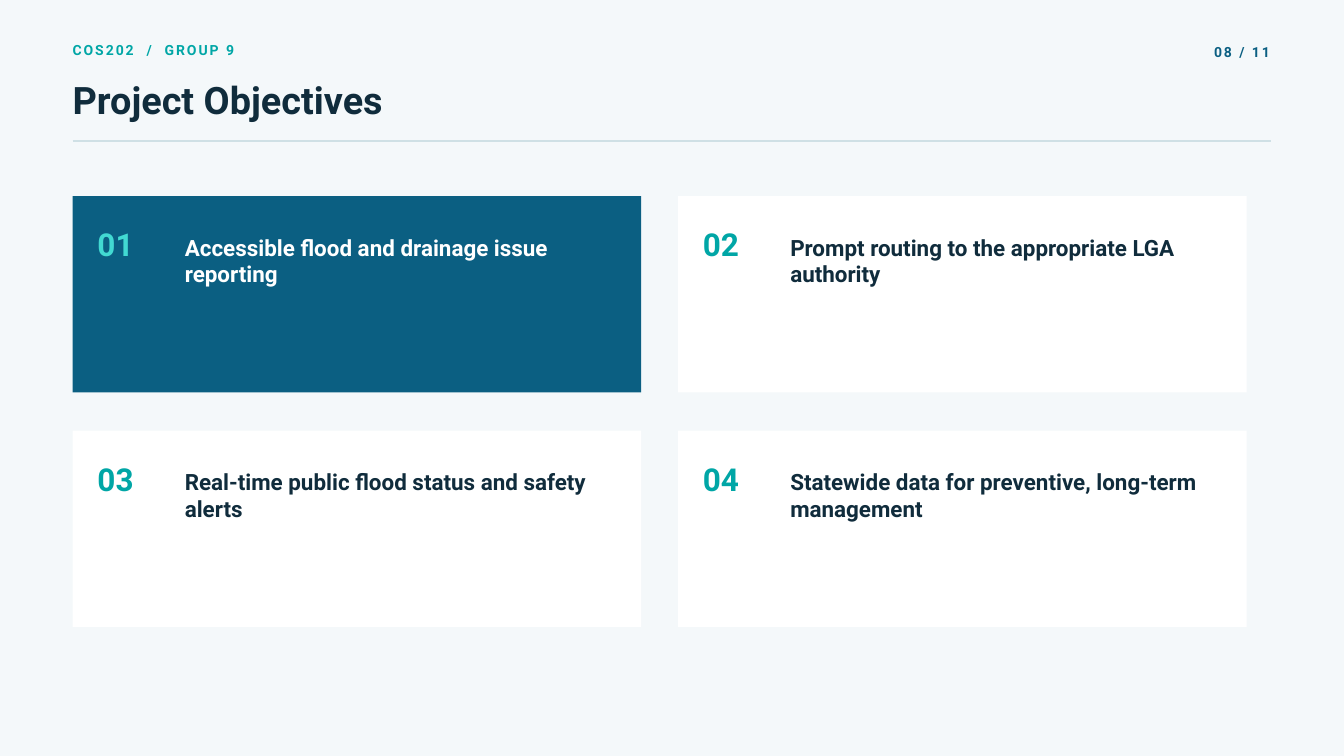
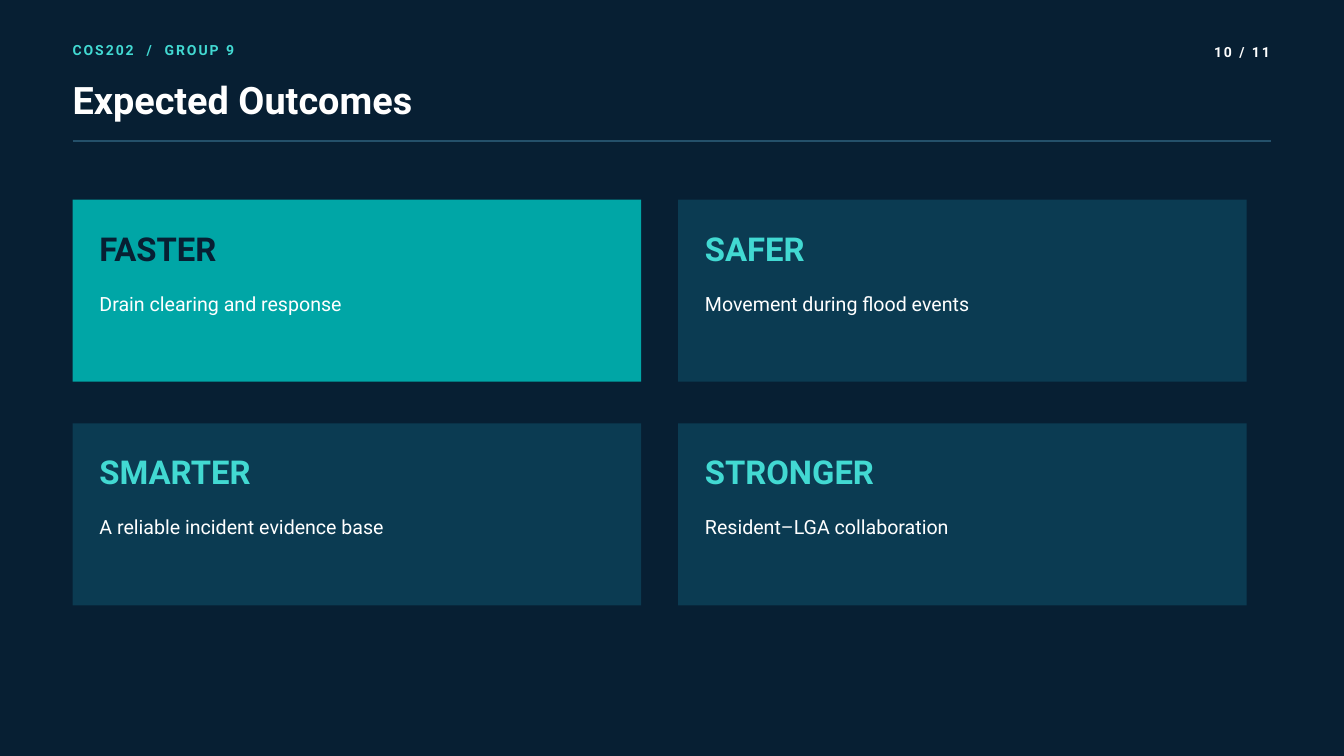
from pptx import Presentation
from pptx.dml.color import RGBColor
from pptx.enum.shapes import MSO_CONNECTOR, MSO_SHAPE
from pptx.enum.text import MSO_ANCHOR, MSO_AUTO_SIZE, PP_ALIGN
from pptx.oxml.ns import qn
from pptx.util import Inches, Pt
from lxml.etree import SubElement

FONT = "Roboto"
WHITE = RGBColor(0xFF, 0xFF, 0xFF)
MIST = RGBColor(0xF4, 0xF8, 0xFA)
INK = RGBColor(0x10, 0x2C, 0x3C)
NAVY = RGBColor(0x07, 0x1F, 0x33)
DEEP = RGBColor(0x0B, 0x3B, 0x52)
BLUE = RGBColor(0x0B, 0x5F, 0x82)
TEAL = RGBColor(0x00, 0xA6, 0xA6)
AQUA = RGBColor(0x42, 0xD9, 0xD2)
PALE_RULE = RGBColor(0xCF, 0xE0, 0xE5)
DARK_RULE = RGBColor(0x24, 0x50, 0x6A)

LIGHT = dict(bg=MIST, label=TEAL, title=INK, page=BLUE, rule=PALE_RULE)
DARK = dict(bg=NAVY, label=AQUA, title=WHITE, page=WHITE, rule=DARK_RULE)

LABEL = dict(size=15, leading=21, bold=True, tracking=210)
TITLE = dict(size=40.5, leading=43.7, bold=True)
NUMBER = dict(size=33.8, leading=47.2, bold=True)
OBJECTIVE = dict(size=24, leading=28.3, bold=True)
OUTCOME = dict(size=35.2, leading=49.3, bold=True)
DETAIL = dict(size=21, leading=29.4, bold=False)

LEFT, RIGHT = 1.08, 18.92
CARD_W, COLUMN_STEP = 8.46, 9.01

OBJECTIVES = [
    "Accessible flood and drainage issue reporting",
    "Prompt routing to the appropriate LGA authority",
    "Real-time public flood status and safety alerts",
    "Statewide data for preventive, long-term management",
]
OUTCOMES = [
    ("FASTER", "Drain clearing and response"),
    ("SAFER", "Movement during flood events"),
    ("SMARTER", "A reliable incident evidence base"),
    ("STRONGER", "Resident–LGA collaboration"),
]


class Deck:
    def __init__(self):
        self.prs = Presentation()
        self.prs.slide_width, self.prs.slide_height = Inches(20), Inches(11.25)

    def add_slide(self, theme, title, page):
        self.s = self.prs.slides.add_slide(self.prs.slide_layouts[5])
        fill = self.s.background.fill
        fill.solid()
        fill.fore_color.rgb = theme["bg"]
        self.text("COS202  /  GROUP 9", LEFT, 0.57, 4.27, 0.28, LABEL, theme["label"])
        self.title(title, theme["title"])
        self.text(page, 17.81, 0.61, 1.09, 0.28, LABEL, theme["page"], PP_ALIGN.RIGHT)
        self.rule(2.1, theme["rule"])

    def title(self, text, color):
        sp = self.s.shapes.title
        sp.left, sp.top, sp.width, sp.height = map(Inches, (LEFT, 1.21, 15.1, 0.63))
        self.fill_text(sp.text_frame, text, TITLE, color)

    def text(self, text, x, y, w, h, style, color, align=PP_ALIGN.LEFT):
        sp = self.s.shapes.add_textbox(*map(Inches, (x, y, w, h)))
        self.fill_text(sp.text_frame, text, style, color, align)

    def fill_text(self, tf, text, style, color, align=PP_ALIGN.LEFT):
        frame = dict(margin_left=0, margin_top=0, margin_right=0, margin_bottom=0,
                     word_wrap=True, vertical_anchor=MSO_ANCHOR.TOP,
                     auto_size=MSO_AUTO_SIZE.SHAPE_TO_FIT_TEXT)
        for name, value in frame.items():
            setattr(tf, name, value)
        p = tf.paragraphs[0]
        p.alignment = align
        p.line_spacing = Pt(style["leading"])
        r = p.add_run()
        r.text = text
        for name, value in dict(name=FONT, size=Pt(style["size"]), bold=style["bold"]).items():
            setattr(r.font, name, value)
        r.font.color.rgb = color
        if "tracking" in style:
            r._r.get_or_add_rPr().set("spc", str(style["tracking"]))

    def rule(self, y, color):
        line = self.s.shapes.add_connector(
            MSO_CONNECTOR.STRAIGHT, *map(Inches, (LEFT, y, RIGHT, y)))
        line.line.color.rgb = color
        line.line.width = Pt(2)
        SubElement(line._element.spPr, qn("a:effectLst"))

    def card(self, x, y, h, color):
        sp = self.s.shapes.add_shape(
            MSO_SHAPE.RECTANGLE, *map(Inches, (x, y, CARD_W, h)))
        sp.shadow.inherit = False
        sp.fill.solid()
        sp.fill.fore_color.rgb = color
        sp.line.fill.background()

    def objective(self, i, text):
        x, y = grid(i, 2.92, 3.49)
        fill, number, ink = (WHITE, TEAL, INK) if i else (BLUE, AQUA, WHITE)
        self.card(x, y, 2.92, fill)
        self.text(f"{i + 1:02}", x + 0.37, y + 0.34, 1.15, 0.61, NUMBER, number)
        self.text(text, x + 1.67, y + 0.57, 6.25, 0.78, OBJECTIVE, ink)

    def outcome(self, i, heading, detail):
        x, y = grid(i, 2.97, 3.33)
        fill, ink = (DEEP, AQUA) if i else (TEAL, NAVY)
        self.card(x, y, 2.71, fill)
        self.text(heading, x + 0.4, y + 0.33, 7.6, 0.64, OUTCOME, ink)
        self.text(detail, x + 0.4, y + 1.31, 7.29, 0.39, DETAIL, WHITE)


def grid(i, top, row_step):
    row, column = divmod(i, 2)
    return LEFT + column * COLUMN_STEP, top + row * row_step


def main():
    deck = Deck()
    deck.add_slide(LIGHT, "Project Objectives", "08 / 11")
    for i, text in enumerate(OBJECTIVES):
        deck.objective(i, text)
    deck.add_slide(DARK, "Expected Outcomes", "10 / 11")
    for i, (heading, detail) in enumerate(OUTCOMES):
        deck.outcome(i, heading, detail)
    deck.prs.save("out.pptx")


if __name__ == "__main__":
    main()
